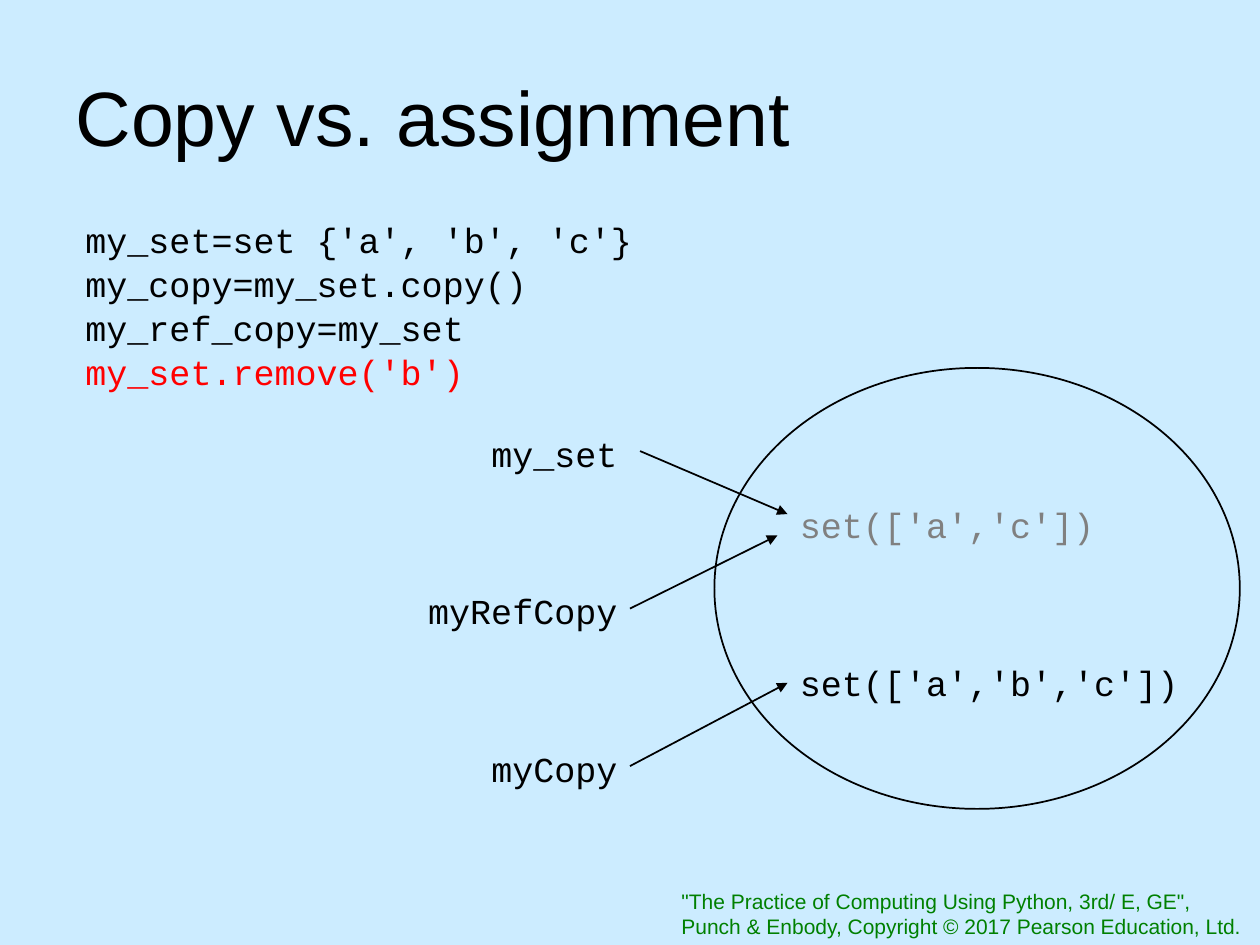
import pptx
import pptx.util
import pptx.dml.color
import pptx.enum.shapes
import pptx.enum.text
import pptx.oxml
import pptx.oxml.ns

Inches = pptx.util.Inches
ALIGN = pptx.enum.text.PP_ALIGN
ANCHOR = pptx.enum.text.MSO_ANCHOR

COLORS = {"sky": "CCECFF", "ink": "000000", "red": "FF0000",
          "gray": "808080", "green": "008000"}
TITLE = "Copy vs. assignment"
CODE = [("my_set=set {'a', 'b', 'c'}", "ink"),
        ("my_copy=my_set.copy()", "ink"),
        ("my_ref_copy=my_set", "ink"),
        ("my_set.remove('b')", "red")]
CREDIT = ['"The Practice of Computing Using Python, 3rd/ E, GE",',
          "Punch & Enbody, Copyright © 2017 Pearson Education, Ltd."]
NAMES = ["my_set", "myRefCopy", "myCopy"]
VALUES = [("set(['a','c'])", "gray"), ("set(['a','b','c'])", "ink")]
ARROWS = [((5.08, 3.58), (6.25, 4.08)),
          ((5, 4.83), (6.17, 4.25)),
          ((5, 6.08), (6.25, 5.42))]
ROW_STEP = 1.25
MONO = {"name": "Courier New", "size": pptx.util.Pt(20)}
SANS = {"name": "Arial", "size": pptx.util.Pt(12)}
HEADING = {"name": "Arial", "size": pptx.util.Pt(44)}


def rgb(color):
    return pptx.dml.color.RGBColor.from_string(COLORS[color])


def write(frame, lines, font, align=ALIGN.LEFT, spacing=None, gap=0):
    for index, (text, color) in enumerate(lines):
        para = frame.paragraphs[0] if index == 0 else frame.add_paragraph()
        para.alignment = align
        para.line_spacing = spacing
        para.space_before = pptx.util.Pt(gap if index else 0)
        span = para.add_run()
        span.text = text
        for key, value in font.items():
            setattr(span.font, key, value)
        span.font.color.rgb = rgb(color)


def add_text(page, place, lines, font, top=0.1, wrap=True, **layout):
    box = page.shapes.add_textbox(*map(Inches, place))
    box.text_frame.word_wrap = wrap
    box.text_frame.margin_top = Inches(top)
    write(box.text_frame, lines, font, **layout)


def add_arrow(page, start, end):
    arrow = page.shapes.add_connector(
        pptx.enum.shapes.MSO_CONNECTOR.STRAIGHT, *map(Inches, start + end))
    arrow.line.color.rgb = rgb("ink")
    arrow.line.width = pptx.util.Pt(1)
    head = pptx.oxml.parse_xml(
        f'<a:tailEnd {pptx.oxml.ns.nsdecls("a")} type="triangle"/>')
    arrow.line._get_or_add_ln().append(head)
    arrow._element.spPr.append(pptx.oxml.parse_xml(
        f'<a:effectLst {pptx.oxml.ns.nsdecls("a")}/>'))


def main():
    deck = pptx.Presentation()
    deck.slide_width, deck.slide_height = Inches(10), Inches(7.5)
    page = deck.slides.add_slide(deck.slide_layouts[5])
    page.background.fill.solid()
    page.background.fill.fore_color.rgb = rgb("sky")

    title = page.shapes.title
    title.left, title.top, title.width, title.height = map(
        Inches, (0.5, 0.5, 9, 0.83))
    title.text_frame.vertical_anchor = ANCHOR.MIDDLE
    write(title.text_frame, [(TITLE, "ink")], HEADING)

    add_text(page, (5.31, 7, 4.68, 0.5), [(line, "green") for line in CREDIT],
             SANS, top=0.05, wrap=False)
    add_text(page, (0.58, 1.75, 4.83, 1.44), CODE, MONO, spacing=0.6, gap=10.8)
    for row, name in enumerate(NAMES):
        add_text(page, (2.5, 3.33 + row * ROW_STEP, 2.5, 0.43),
                 [(name, "ink")], MONO, align=ALIGN.RIGHT)
    for row, value in enumerate(VALUES):
        add_text(page, (6.25, 3.9 + row * ROW_STEP, 3.25, 0.43), [value], MONO)
    for start, end in ARROWS:
        add_arrow(page, start, end)

    memory = page.shapes.add_shape(
        pptx.enum.shapes.MSO_SHAPE.OVAL, *map(Inches, (5.67, 2.92, 4.17, 3.5)))
    memory.shadow.inherit = False
    memory.fill.background()
    memory.line.color.rgb = rgb("ink")
    memory.line.width = pptx.util.Pt(1)

    deck.save("out.pptx")


if __name__ == "__main__":
    main()
